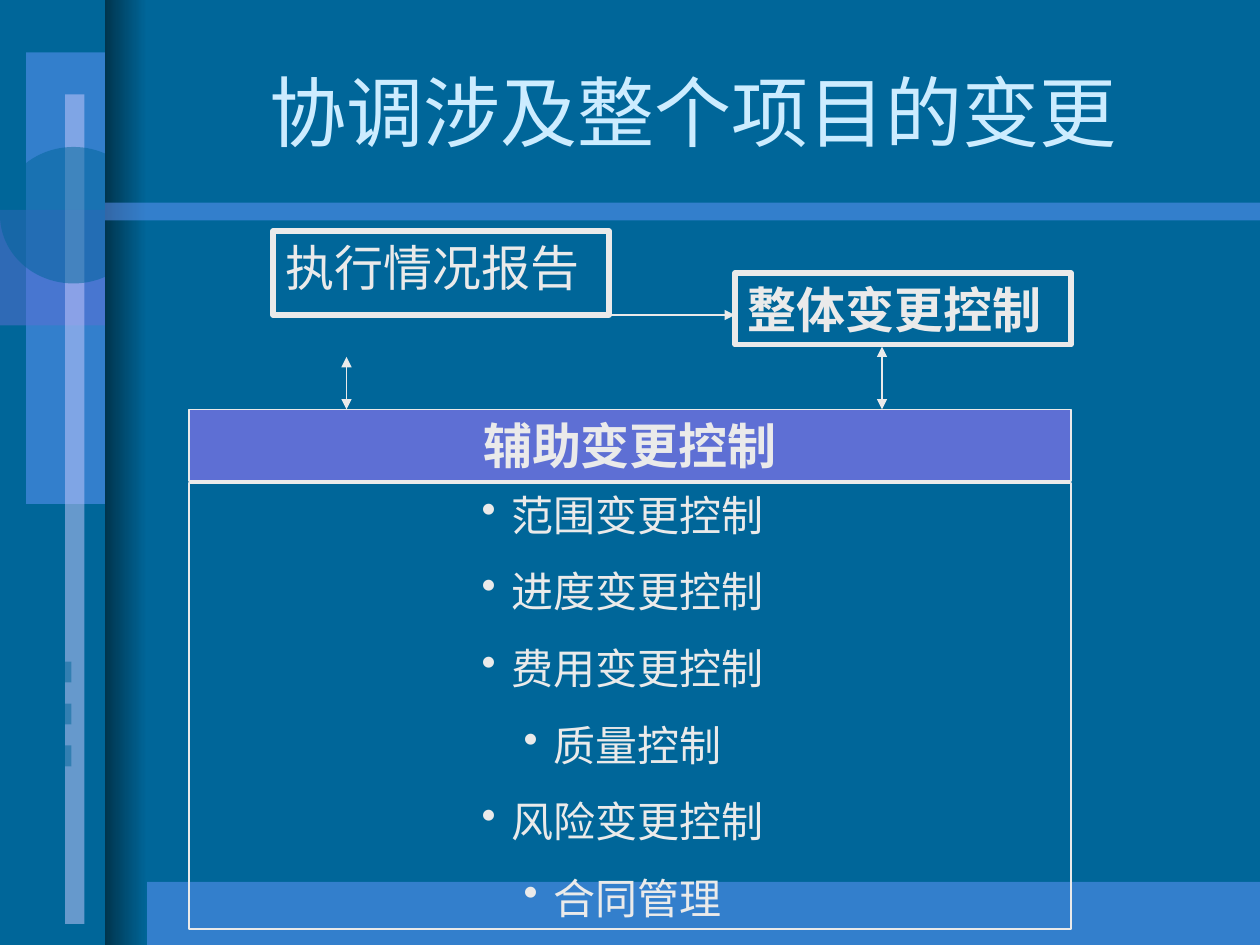
from typing import NamedTuple, Optional

from lxml import etree
from pptx import Presentation
from pptx import util as u
from pptx.dml.color import RGBColor
from pptx.enum import shapes, text
from pptx.oxml.ns import qn

# Grid: 120 columns by 90 rows, each a twelfth of an inch
CELL = u.Inches(1) / 12
BACK, BLUE, VIOLET, LILAC = "006699", "6699FF", "5E6FD4", "CCCCFF"
DARK, INK, TITLE_INK = "00354E", "EAEAEA", "CCECFF"
RECT, OVAL = shapes.MSO_SHAPE.RECTANGLE, shapes.MSO_SHAPE.OVAL


class Area(NamedTuple):
    col: float
    row: float
    cols: float
    rows: float


class Panel(NamedTuple):
    area: Area
    colour: str
    kind: int = RECT


class Box(NamedTuple):
    area: Area
    lines: list
    size: int
    border: float
    fill: Optional[str] = None
    bold: bool = False
    align: int = text.PP_ALIGN.LEFT
    gap: float = 0
    bullets: bool = False


class Arrow(NamedTuple):
    start: tuple
    end: tuple
    both: bool = True


def grid(n: float) -> int:
    return round(n * CELL)


def rgb(value: str) -> RGBColor:
    return RGBColor.from_string(value)


def sub(parent, tag: str, **attrs):
    return etree.SubElement(parent, qn(tag), attrs)


def place(sp, area: Area) -> None:
    sp.left, sp.top, sp.width, sp.height = map(grid, area)


def half_fill(sp, colour: str) -> None:
    """Fill at 50% opacity, without outline or shadow."""
    sp.shadow.inherit = False
    sp.line.fill.background()
    sp.fill.solid()
    sp.fill.fore_color.rgb = rgb(colour)
    sub(sp._element.spPr.find(f".//{qn('a:srgbClr')}"), "a:alpha", val="50000")


def add_panel(s, panel: Panel) -> None:
    half_fill(s.shapes.add_shape(panel.kind, *map(grid, panel.area)), panel.colour)


def bezier(p0, p1, p2, p3, steps: int = 8) -> list:
    weights = [((1 - t) ** 3, 3 * t * (1 - t) ** 2, 3 * t * t * (1 - t), t ** 3)
               for t in (i / steps for i in range(1, steps + 1))]
    return [tuple(sum(w * p[axis] for w, p in zip(ws, (p0, p1, p2, p3)))
                  for axis in (0, 1)) for ws in weights]


def add_leaf(s) -> None:
    knots = [(0.82, 3.92), (0.9, 3.86), (0.98, 4.01), (1.03, 4.32), (1.07, 4.62),
             (1.08, 5.03), (1.04, 5.36), (1.01, 5.7), (0.94, 5.91), (0.86, 5.91)]
    points = [pt for i in (0, 3, 6) for pt in bezier(*knots[i:i + 4])]
    builder = s.shapes.build_freeform(*knots[0], scale=u.Inches(1))
    builder.add_line_segments(points + [(0.83, 4.93)], close=True)
    half_fill(builder.convert_to_shape(), VIOLET)


def add_shade(s, area: Area) -> None:
    sp = s.shapes.add_shape(RECT, *map(grid, area))
    sp.shadow.inherit = False
    sp.line.fill.background()
    sp.fill.gradient()
    sp.fill.gradient_angle = 180
    for stop, colour, pos in zip(sp.fill.gradient_stops, (BACK, DARK), (0, 1)):
        stop.color.rgb = rgb(colour)
        stop.position = pos


def add_run(p, words: str, size: int, font: str, colour: str, bold=False) -> None:
    r = p.add_run()
    r.text = words
    r.font.size, r.font.name, r.font.bold = u.Pt(size), font, bold
    r.font.color.rgb = rgb(colour)


def outline(sp, width: float) -> None:
    sp.line.color.rgb = rgb(INK)
    sp.line.width = u.Pt(width)


def add_box(s, box: Box) -> None:
    sp = s.shapes.add_shape(RECT, *map(grid, box.area))
    sp.shadow.inherit = False
    outline(sp, box.border)
    if box.fill:
        sp.fill.solid()
        sp.fill.fore_color.rgb = rgb(box.fill)
    else:
        sp.fill.background()
    tf = sp.text_frame
    tf.word_wrap = True
    tf.vertical_anchor = text.MSO_ANCHOR.TOP
    for i, words in enumerate(box.lines):
        p = tf.add_paragraph() if i else tf.paragraphs[0]
        p.alignment = box.align
        p.space_before = u.Pt(box.gap if i else 0)
        if box.bullets:
            pPr = p._p.get_or_add_pPr()
            sub(sub(pPr, "a:buClr"), "a:srgbClr", val=INK)
            sub(pPr, "a:buChar", char="•")
        add_run(p, words, box.size, "Times New Roman", INK, box.bold)


def add_arrow(s, arrow: Arrow) -> None:
    line = s.shapes.add_connector(shapes.MSO_CONNECTOR.STRAIGHT,
                                  *map(grid, arrow.start + arrow.end))
    outline(line, 1)
    ln = line.line._get_or_add_ln()
    if arrow.both:
        sub(ln, "a:headEnd", type="triangle")
    sub(ln, "a:tailEnd", type="triangle")
    sub(line._element.spPr, "a:effectLst")


def fill_placeholder(s, sp, area: Area, words: str, size: int, font: str,
                     colour: str):
    """Move a placeholder above the decoration and write its one line."""
    s.shapes._spTree.append(sp._element)
    place(sp, area)
    tf = sp.text_frame
    tf.auto_size = text.MSO_AUTO_SIZE.NONE
    tf.word_wrap = True
    p = tf.paragraphs[0]
    p.space_before = u.Pt(0)
    add_run(p, words, size, font, colour)
    return p


PANELS = [
    Panel(Area(10, 84, 110, 6), BLUE),
    Panel(Area(2.5, 5, 7.5, 43), BLUE),
    Panel(Area(0, 20, 10, 11), VIOLET),
    Panel(Area(6.2, 9, 1.85, 79), LILAC),
    *[Panel(Area(0, 63 + 4 * i, 6.8, 2), BACK) for i in range(3)],
]
CENTER = text.PP_ALIGN.CENTER
BOXES = [
    Box(Area(70, 26, 32, 6.85), ["整体变更控制"], 28, 3, bold=True),
    Box(Area(18, 39, 84, 6.85), ["辅助变更控制"], 28, 1, VIOLET, True, CENTER),
    Box(Area(18, 46, 84, 42.5),
        ["范围变更控制", "进度变更控制", "费用变更控制", "质量控制", "风险变更控制",
         "合同管理"], 24, 1, align=CENTER, gap=15, bullets=True),
]
ARROWS = [Arrow((50, 30), (70, 30), both=False),
          Arrow((33, 34), (33, 39)), Arrow((84, 33), (84, 39))]


def main() -> None:
    prs = Presentation()
    prs.slide_width, prs.slide_height = grid(120), grid(90)
    s = prs.slides.add_slide(prs.slide_layouts[1])
    s.background.fill.solid()
    s.background.fill.fore_color.rgb = rgb(BACK)
    title, body = s.placeholders

    # Side and bar decoration
    for panel in PANELS:
        add_panel(s, panel)
    add_leaf(s)
    add_panel(s, Panel(Area(0, 14, 14, 13), BACK, OVAL))
    add_shade(s, Area(10, 0, 4, 90))
    add_panel(s, Panel(Area(10, 19.3, 110, 1.7), BLUE))

    # Title and report box
    p = fill_placeholder(s, title, Area(15, 3, 102, 15), "协调涉及整个项目的变更",
                         44, "Montserrat", TITLE_INK)
    p.alignment = CENTER
    title.text_frame.vertical_anchor = text.MSO_ANCHOR.MIDDLE
    p = fill_placeholder(s, body, Area(26, 22, 32, 8), "执行情况报告",
                         28, "Arial", INK)
    pPr = p._p.get_or_add_pPr()
    pPr.set("marL", str(u.Inches(0.38)))
    pPr.set("indent", str(-u.Inches(0.38)))
    sub(pPr, "a:buNone")
    outline(body, 3)

    # Control boxes and arrows
    for box in BOXES:
        add_box(s, box)
    for arrow in ARROWS:
        add_arrow(s, arrow)
    prs.save("out.pptx")


if __name__ == "__main__":
    main()
